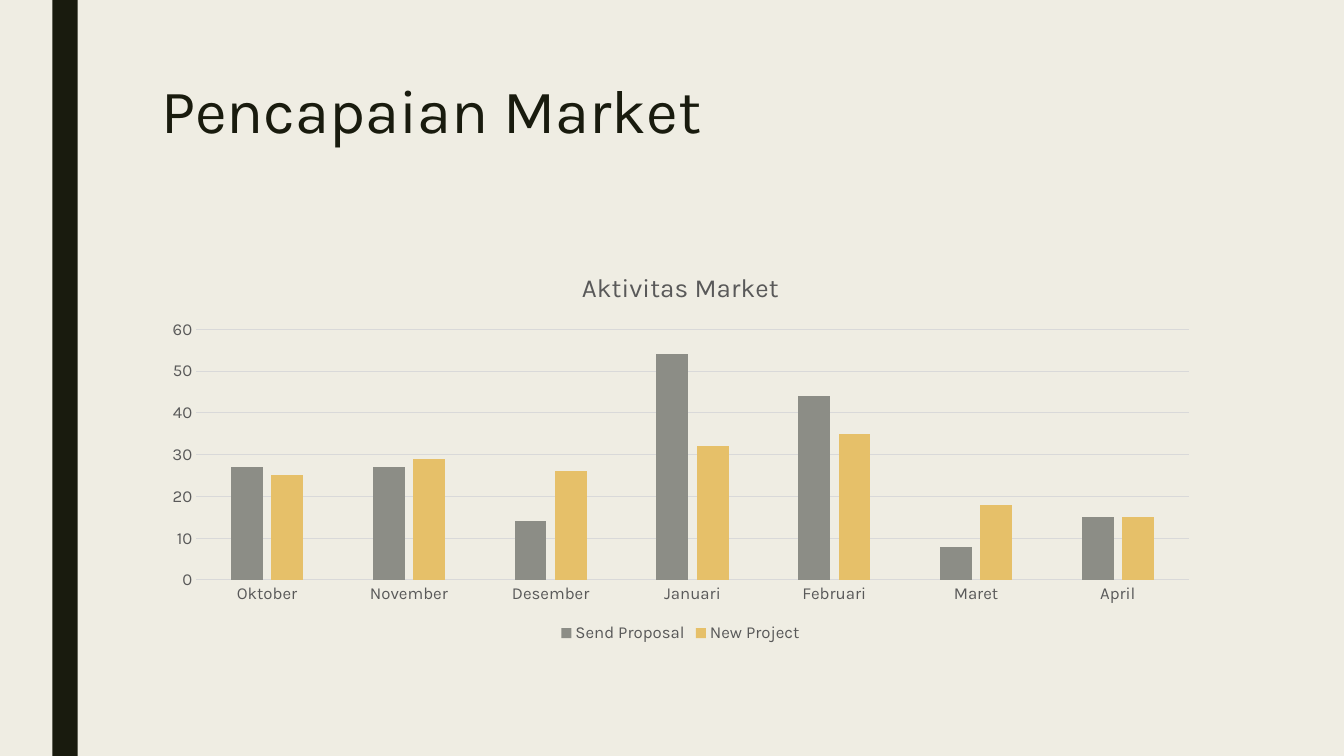
from pptx import Presentation
from pptx.chart.data import CategoryChartData
from pptx.dml.color import RGBColor
from pptx.enum.chart import XL_CHART_TYPE as Kind, XL_LEGEND_POSITION as Place, XL_TICK_MARK as Tick
from pptx.enum.shapes import MSO_SHAPE as Form
from pptx.enum.text import MSO_ANCHOR as Anchor
from pptx.util import Inches, Pt

TITLE = "Pencapaian Market"
HEAD = "Aktivitas Market"
MONTHS = ["Oktober", "November", "Desember", "Januari", "Februari", "Maret", "April"]
CREAM = RGBColor(0xEF, 0xED, 0xE3)
DARK = RGBColor(0x19, 0x1B, 0x0E)
TEXT = RGBColor(0x59, 0x59, 0x59)
RULE = RGBColor(0xD9, 0xD9, 0xD9)
GRAY = RGBColor(0x8C, 0x8D, 0x86)
GOLD = RGBColor(0xE6, 0xC0, 0x69)
SERIES = [
    ("Send Proposal", [27, 27, 14, 54, 44, 8, 15], GRAY),
    ("New Project", [25, 29, 26, 32, 35, 18, 15], GOLD),
]
FACE = "Karla"
LEFT, WIDTH = Inches(1.5), Inches(10.5)


def style(font, size, color):
    font.name, font.size, font.bold = FACE, Pt(size), False
    font.color.rgb = color


def rule(line):
    line.color.rgb = RULE
    line.width = Pt(0.75)


def add_title(slide):
    box = slide.shapes.add_textbox(LEFT, Inches(0.75), WIDTH, Inches(1.62))
    frame = box.text_frame
    frame.word_wrap = True
    frame.vertical_anchor = Anchor.TOP
    para = frame.paragraphs[0]
    para.text = TITLE
    para.line_spacing = 0.89
    style(para.font, 44, DARK)


def add_bars(slide):
    data = CategoryChartData()
    data.categories = MONTHS
    for name, vals, _ in SERIES:
        data.add_series(name, vals)
    chart = slide.shapes.add_chart(
        Kind.COLUMN_CLUSTERED, LEFT, Inches(2.5), WIDTH, Inches(3.92), data
    ).chart
    style(chart.font, 12, TEXT)

    chart.has_title = True
    chart.chart_title.include_in_layout = False
    para = chart.chart_title.text_frame.paragraphs[0]
    para.text = HEAD
    style(para.font, 18.6, TEXT)

    chart.has_legend = True
    chart.legend.position = Place.BOTTOM
    chart.legend.include_in_layout = False
    style(chart.legend.font, 12, TEXT)

    for axis in (chart.category_axis, chart.value_axis):
        axis.major_tick_mark = axis.minor_tick_mark = Tick.NONE
        style(axis.tick_labels.font, 12, TEXT)
    rule(chart.category_axis.format.line)
    scale = chart.value_axis
    scale.minimum_scale, scale.maximum_scale, scale.major_unit = 0, 60, 10
    scale.format.line.fill.background()
    rule(scale.major_gridlines.format.line)

    plot = chart.plots[0]
    plot.vary_by_categories = False
    plot.gap_width, plot.overlap = 219, -27
    for bars, (_, _, color) in zip(plot.series, SERIES):
        bars.format.fill.solid()
        bars.format.fill.fore_color.rgb = color


def main():
    deck = Presentation()
    deck.slide_width, deck.slide_height = Inches(13.33), Inches(7.5)
    slide = deck.slides.add_slide(deck.slide_layouts[6])
    slide.background.fill.solid()
    slide.background.fill.fore_color.rgb = CREAM

    band = slide.shapes.add_shape(Form.RECTANGLE, Inches(0.52), 0, Inches(0.25), deck.slide_height)
    band.shadow.inherit = False
    band.fill.solid()
    band.fill.fore_color.rgb = DARK
    band.line.fill.background()

    add_title(slide)
    add_bars(slide)
    deck.save("out.pptx")


if __name__ == "__main__":
    main()
